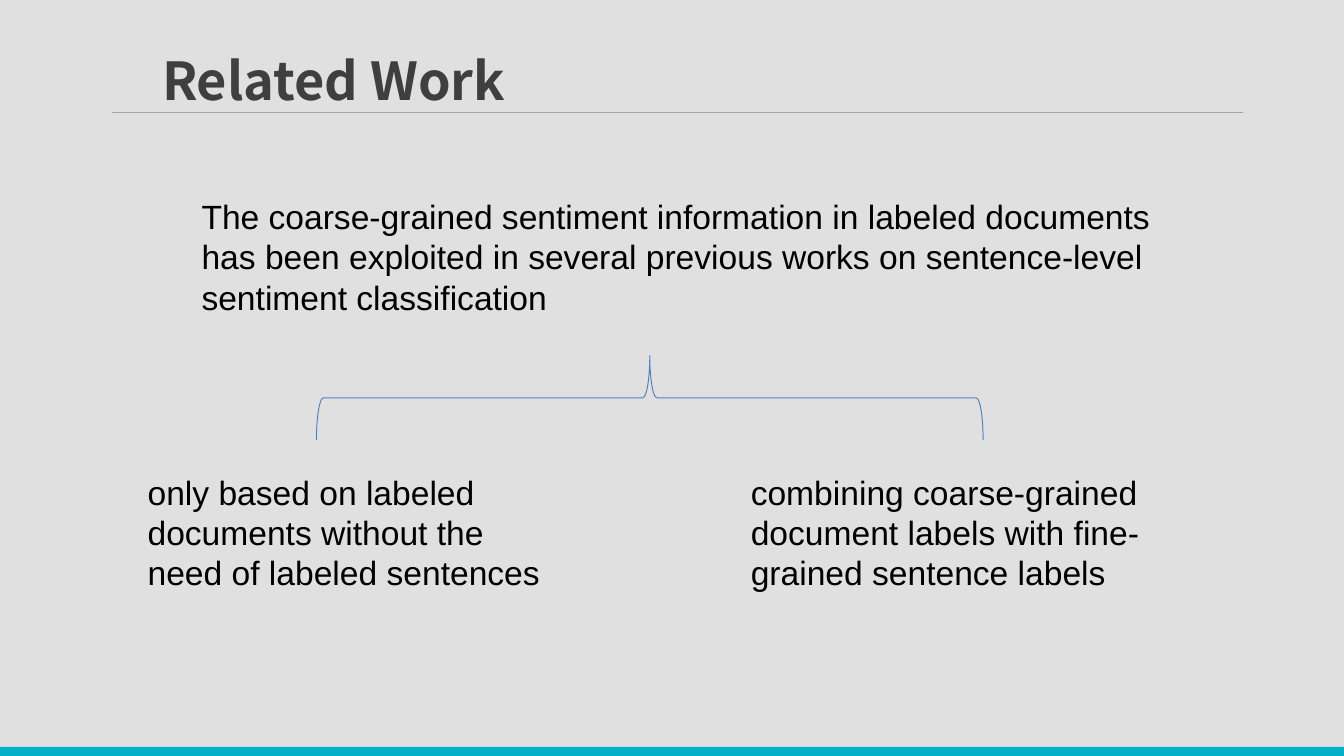
from dataclasses import dataclass

from lxml import etree
from pptx import Presentation
from pptx import util as u
from pptx.dml.color import RGBColor
from pptx.enum import shapes, text
from pptx.oxml import ns

COLORS = {
    "shade": "000000",
    "footer": "05AFC8",
    "rule": "A5A5A5",
    "title": "3F3F3F",
    "body": "000000",
    "brace": "4F81BD",
}
TITLE_FONT = {"name": "Noto Sans CJK SC", "size": u.Pt(28), "bold": True}
BODY_FONT = {"name": "Arial", "size": u.Pt(18), "bold": False}


@dataclass
class Box:
    left: float
    top: float
    width: float
    height: float

    def lengths(self) -> list:
        return [u.Cm(n) for n in (self.left, self.top, self.width, self.height)]


@dataclass
class Note:
    box: Box
    lines: list[str]


BRANCH_TOP = 8.79
NOTES = [
    Note(Box(3.56, 3.58, 18.8, 2.54), [
        "The coarse-grained sentiment information in labeled documents",
        "has been exploited in several previous works on sentence-level",
        "sentiment classification",
    ]),
    Note(Box(2.54, BRANCH_TOP, 8.41, 2.54),
         ["only based on labeled documents without the need of labeled sentences"]),
    Note(Box(13.94, BRANCH_TOP, 8.2, 2.54),
         ["combining coarse-grained document labels with fine-grained sentence labels"]),
]


def color(name: str) -> RGBColor:
    return RGBColor.from_string(COLORS[name])


def add_band(slide, box: Box, fill: str):
    shape = slide.shapes.add_shape(shapes.MSO_SHAPE.RECTANGLE, *box.lengths())
    shape.shadow.inherit = False
    shape.fill.solid()
    shape.fill.fore_color.rgb = color(fill)
    shape.line.fill.background()
    return shape


def write_text(shape, lines: list[str], font: dict, fill: str, align) -> None:
    frame = shape.text_frame
    frame.word_wrap = True
    frame.auto_size = text.MSO_AUTO_SIZE.SHAPE_TO_FIT_TEXT
    frame.vertical_anchor = text.MSO_ANCHOR.TOP
    frame.text = "\n".join(lines)
    for paragraph in frame.paragraphs:
        paragraph.alignment = align
        run = paragraph.runs[0]
        for key, value in font.items():
            setattr(run.font, key, value)
        run.font.color.rgb = color(fill)


def add_note(slide, note: Note) -> None:
    shape = slide.shapes.add_textbox(*note.box.lengths())
    write_text(shape, note.lines, BODY_FONT, "body", text.PP_ALIGN.LEFT)


def main() -> None:
    presentation = Presentation()
    presentation.slide_width = u.Cm(25.4)
    presentation.slide_height = u.Cm(14.29)
    slide = presentation.slides.add_slide(presentation.slide_layouts[5])

    # Translucent backdrop and footer bar
    backdrop = add_band(slide, Box(0, 0, 25.4, 14.12), "shade")
    rgb = backdrop.fill._xPr.find(".//" + ns.qn("a:srgbClr"))
    etree.SubElement(rgb, ns.qn("a:alpha"), val="12000")
    add_band(slide, Box(0, 14.12, 25.4, 0.41), "footer")

    # Rule under the title
    rule = slide.shapes.add_connector(
        shapes.MSO_CONNECTOR.STRAIGHT, u.Cm(2.11), u.Cm(2.13), u.Cm(23.5), u.Cm(2.13))
    rule.line.color.rgb = color("rule")
    rule.line.width = u.Pt(0.75)
    etree.SubElement(rule._element.spPr, ns.qn("a:effectLst"))

    # Title, raised above the backdrop
    title = slide.shapes.title
    title.left, title.top, title.width, title.height = Box(2.51, 0.79, 7.59, 1.45).lengths()
    write_text(title, ["Related Work"], TITLE_FONT, "title", text.PP_ALIGN.CENTER)
    rule._element.addnext(title._element)

    # Statement and its two branches
    for note in NOTES:
        add_note(slide, note)

    # Brace turned to point up at the statement
    brace = slide.shapes.add_shape(
        shapes.MSO_SHAPE.LEFT_BRACE, *Box(11.48, 1.22, 1.6, 12.6).lengths())
    brace.rotation = 90
    brace.shadow.inherit = False
    brace.fill.background()
    brace.line.color.rgb = color("brace")
    brace.line.width = u.Pt(0.5)

    presentation.save("out.pptx")


if __name__ == "__main__":
    main()
